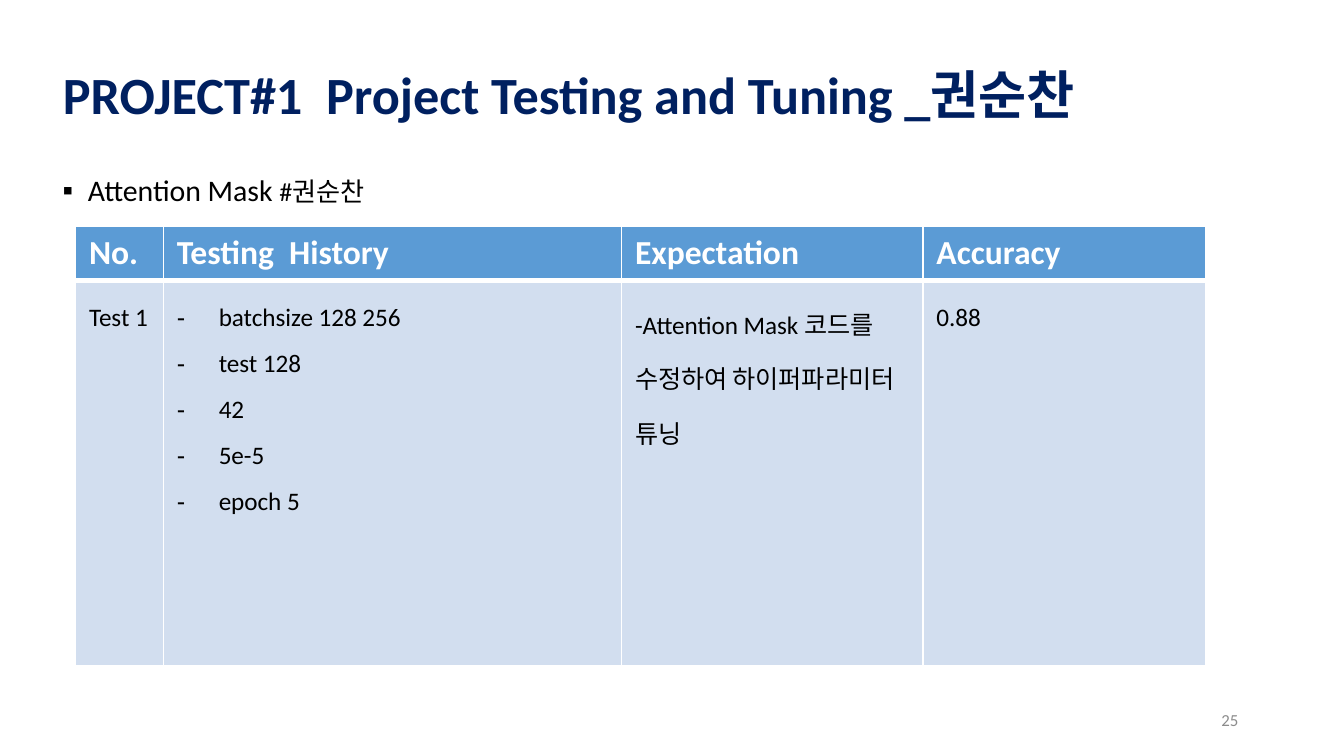
from lxml import etree
from pptx import Presentation
from pptx.dml.color import RGBColor
from pptx.enum.text import MSO_ANCHOR, MSO_AUTO_SIZE, PP_ALIGN
from pptx.oxml.ns import qn
from pptx.util import Pt

LEFT, RIGHT, JUSTIFY = PP_ALIGN.LEFT, PP_ALIGN.RIGHT, PP_ALIGN.JUSTIFY
TOP, MIDDLE = MSO_ANCHOR.TOP, MSO_ANCHOR.MIDDLE
NO_AUTOFIT = MSO_AUTO_SIZE.NONE
FONT = "Calibri"
TITLE_ONLY = 5

HEADINGS = ["No.", "Testing  History", "Expectation", "Accuracy"]
RESULTS = [
    ["Test 1"],
    ["batchsize 128 256", "test 128", "42", "5e-5", "epoch 5"],
    ["-Attention Mask 코드를 수정하여 하이퍼파라미터 튜닝"],
    ["0.88"],
]
COLUMN_WIDTHS = [47, 245.5, 161.5, 151.5]
ROW_HEIGHTS = [28, 206.6]


def paint(target, color):
    target.solid()
    target.fore_color.rgb = RGBColor.from_string(color)


def style(paragraph, size, color, bold=False, align=LEFT, spacing=1.0):
    paragraph.alignment = align
    paragraph.line_spacing = spacing
    for run in paragraph.runs:
        run.font.name = FONT
        run.font.size = Pt(size)
        run.font.bold = bold
        paint(run.font.fill, color)


def add_bullet(paragraph, mark, indent):
    properties = paragraph._p.get_or_add_pPr()
    properties.set("marL", str(Pt(indent)))
    properties.set("indent", str(-Pt(indent)))
    etree.SubElement(properties, qn("a:buFont")).set("typeface", "Arial")
    etree.SubElement(properties, qn("a:buChar")).set("char", mark)


def set_borders(cell, widths):
    properties = cell._tc.get_or_add_tcPr()
    for position, (side, width) in enumerate(zip("LRTB", widths)):
        border = etree.Element(qn(f"a:ln{side}"), w=str(Pt(width)))
        fill = etree.SubElement(border, qn("a:solidFill"))
        etree.SubElement(fill, qn("a:srgbClr")).set("val", "FFFFFF")
        properties.insert(position, border)


def set_frame(frame, anchor):
    frame.word_wrap = True
    frame.auto_size = NO_AUTOFIT
    frame.vertical_anchor = anchor


def add_text(slide, box, text, anchor):
    frame = slide.shapes.add_textbox(*map(Pt, box)).text_frame
    set_frame(frame, anchor)
    frame.text = text
    return frame.paragraphs[0]


def place_title(slide, box):
    title = slide.shapes.title
    title.left, title.top, title.width, title.height = map(Pt, box)
    paint(title.fill, "FFFFFF")
    set_frame(title.text_frame, MIDDLE)
    title.text_frame.text = "PROJECT#1  Project Testing and Tuning _권순찬 "
    style(title.text_frame.paragraphs[0], 28, "002060", bold=True)


def place_topic(slide, box):
    topic = add_text(slide, box, "Attention Mask ", TOP)
    topic.add_run().text = "#권순찬 "
    style(topic, 16, "000000", spacing=0.9)
    topic.runs[1].font.size = Pt(14)
    topic.space_before = Pt(7.5)
    add_bullet(topic, "▪", 13.5)


def fill_cell(cell, lines, color, borders):
    cell.text_frame.text = "\n".join(lines)
    paint(cell.fill, color)
    set_borders(cell, borders)
    return cell.text_frame.paragraphs


def place_results(slide, box):
    table = slide.shapes.add_table(2, len(HEADINGS), *map(Pt, box)).table
    for column, width in zip(table.columns, COLUMN_WIDTHS):
        column.width = Pt(width)
    for row, height in zip(table.rows, ROW_HEIGHTS):
        row.height = Pt(height)
    for index, (heading, lines) in enumerate(zip(HEADINGS, RESULTS)):
        for paragraph in fill_cell(table.cell(0, index), [heading], "5B9BD5", (1, 1, 1, 3)):
            style(paragraph, 18, "FFFFFF", bold=True)
        listed = len(lines) > 1
        for paragraph in fill_cell(table.cell(1, index), lines, "D2DEEF", (1, 1, 3, 1)):
            style(paragraph, 13.5, "000000", align=JUSTIFY if listed else LEFT, spacing=1.5)
            if listed:
                add_bullet(paragraph, "-", 22.5)


def place_page_number(slide, box):
    style(add_text(slide, box, "25", MIDDLE), 9, "8C8C8C", align=RIGHT)


deck = Presentation()
deck.slide_width, deck.slide_height = Pt(720), Pt(405)
testing = deck.slides.add_slide(deck.slide_layouts[TITLE_ONLY])
place_title(testing, (26.5, 20, 633, 60))
place_topic(testing, (26.5, 90.5, 556, 274))
place_results(testing, (40.5, 121, sum(COLUMN_WIDTHS), sum(ROW_HEIGHTS)))
place_page_number(testing, (508.5, 375, 162, 21.5))
deck.save("out.pptx")
